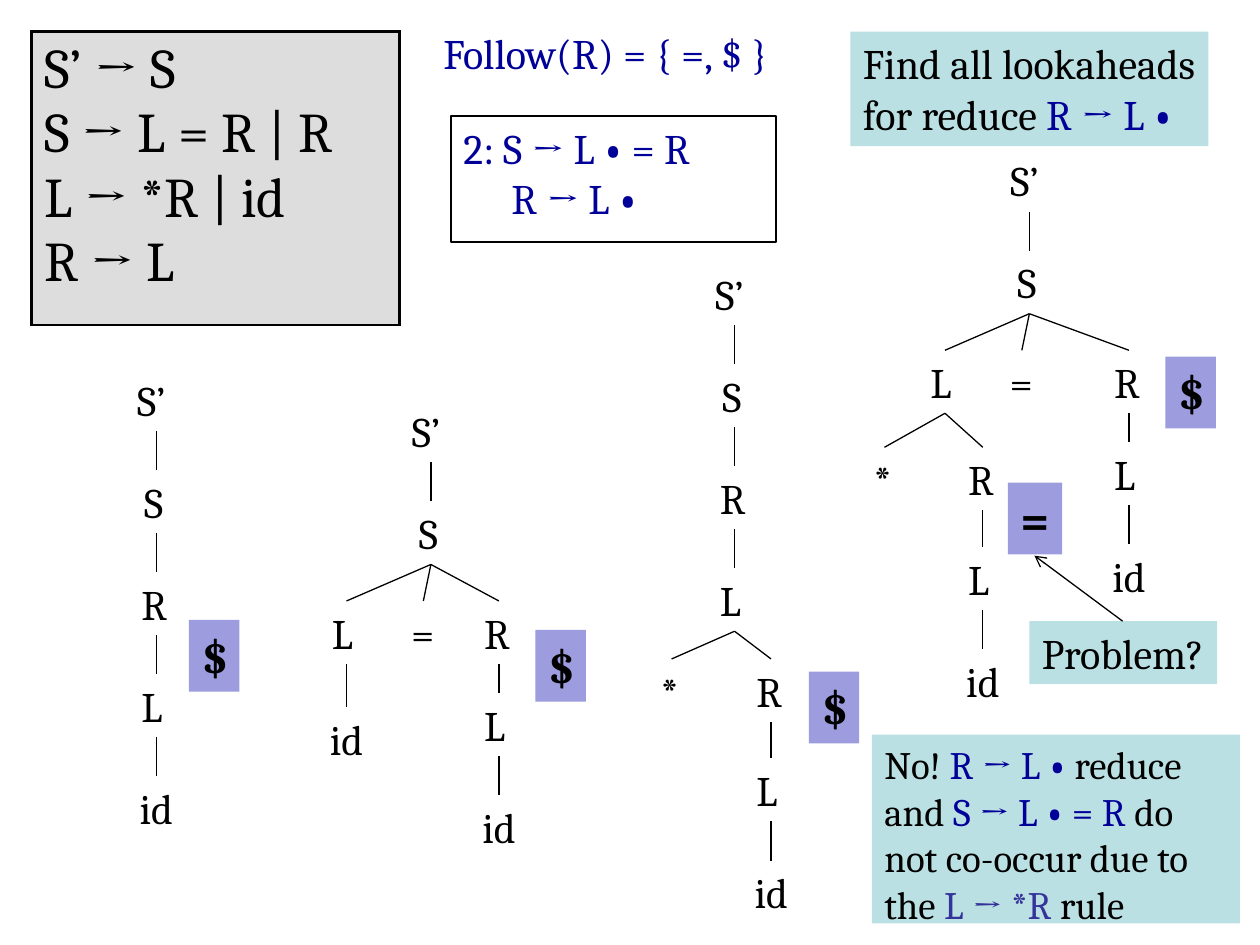
from lxml import etree
from pptx import Presentation, util as u
from pptx.dml.color import RGBColor
from pptx.enum import shapes, text
from pptx.oxml.ns import qn

BLACK, BLUE, TEAL, LILAC = "000000", "000099", "BBE0E3", "9C9CDF"
DOT = ("•", BLUE, True)
WIDTHS = {"S’": 0.5, "S": 0.39, "=": 0.39, "*": 0.37, "id": 0.46}


def paint(hue):
    """Turn a hex string into a colour."""
    return RGBColor.from_string(hue)


def write(frame, paras, size=24, color=BLACK, bold=False, wrap=False, hang=0):
    """Fill a text frame with paragraphs of runs, each run text or (text, colour, bold)."""
    frame.word_wrap = wrap
    frame.auto_size = text.MSO_AUTO_SIZE.NONE
    frame.vertical_anchor = text.MSO_ANCHOR.TOP
    for i, runs in enumerate(paras):
        para = frame.add_paragraph() if i else frame.paragraphs[0]
        para.alignment = text.PP_ALIGN.LEFT
        if hang:
            props = para._p.get_or_add_pPr()
            props.set("marL", str(u.Inches(hang)))
            props.set("indent", str(-u.Inches(hang)))
        for item in runs:
            words, hue, heavy = (item, color, bold) if isinstance(item, str) else item
            for j, part in enumerate(words.split("\n")):
                if j:
                    para.add_line_break()
                if not part:
                    continue
                run = para.add_run()
                run.text = part
                run.font.name, run.font.size = "Cambria", u.Pt(size)
                run.font.bold, run.font.color.rgb = heavy, paint(hue)


def label(slide, box, paras, **style):
    """Place plain text in a box."""
    frame = slide.shapes.add_textbox(*map(u.Inches, box)).text_frame
    write(frame, paras, **style)


def panel(slide, box, paras, fill=None, line=None, **style):
    """Place a rectangle with text in a box."""
    shape = slide.shapes.add_shape(shapes.MSO_SHAPE.RECTANGLE, *map(u.Inches, box))
    shape.shadow.inherit = False
    if fill:
        shape.fill.solid()
        shape.fill.fore_color.rgb = paint(fill)
    else:
        shape.fill.background()
    if line:
        shape.line.color.rgb = paint(line)
        shape.line.width = u.Pt(1.25)
    else:
        shape.line.fill.background()
    write(shape.text_frame, paras, **style)


def link(slide, start, end, arrow=False):
    """Draw a thin line between two points."""
    line = slide.shapes.add_connector(
        shapes.MSO_CONNECTOR.STRAIGHT, *map(u.Inches, (*start, *end)))
    line.line.color.rgb = paint(BLACK)
    line.line.width = u.Pt(0.75)
    if arrow:
        etree.SubElement(line.line._get_or_add_ln(), qn("a:tailEnd"), type="arrow")
    etree.SubElement(line._element.spPr, qn("a:effectLst"))


def grammar(slide, box, rules):
    """Place the grammar rules in a bordered one-cell table."""
    table = slide.shapes.add_table(1, 1, *map(u.Inches, box)).table
    table.first_row = table.horz_banding = False
    cell = table.cell(0, 0)
    write(cell.text_frame, [["\n".join(rules)]], size=32, wrap=True)
    cell.vertical_anchor = text.MSO_ANCHOR.TOP
    props = cell._tc.get_or_add_tcPr()
    for side in ("lnL", "lnR", "lnT", "lnB"):
        edge = etree.SubElement(props, qn("a:" + side), w=str(u.Pt(1.5)))
        solid = etree.SubElement(edge, qn("a:solidFill"))
        etree.SubElement(solid, qn("a:srgbClr"), val=BLACK)
    cell.fill.solid()
    cell.fill.fore_color.rgb = paint("DDDDDD")


def tree(slide, mid, top, node):
    """Draw a parse tree: a node is its name, then (shift, drop, child) entries."""
    name, *kids = node
    wide = WIDTHS.get(name, 0.43)
    label(slide, (mid - wide / 2, top, wide, 0.5), [[name]], wrap=name == "S’")
    for shift, drop, kid in kids:
        x, y = mid + shift, top + drop
        link(slide, (mid, top + 0.5), (x, y))
        tree(slide, x, y, kid)


def chain(*names, drop=0.81):
    """Build a node with a single line of descendants."""
    first, *rest = names
    return (first, (0, drop, chain(*rest))) if rest else (first,)


def root(body):
    """Put the start symbol above a tree."""
    return ("S’", (0, 0.81, body))


def assign(left, gap):
    """Build the S → L = R node with the given left child."""
    right = ("R", (0, 0.73, chain("L", "id")))
    return ("S", (-0.67, 0.79, left), (-0.06, 0.79, ("=",)), (gap, 0.79, right))


def deref(left, right, drop):
    """Build the L → *R node."""
    return ("L", (left, drop, ("*",)),
            (right, drop, chain("R", "L", "id", drop=0.79)))


def problem(slide, left, top):
    """Place the question box and its arrow."""
    panel(slide, (left, top, 1.49, 0.5), [["Problem?"]], fill=TEAL)
    link(slide, (left + 0.74, top), (left + 0.04, top - 0.52), arrow=True)


def main():
    """Build the slide."""
    deck = Presentation()
    deck.slide_width, deck.slide_height = u.Inches(10), u.Inches(7.5)
    slide = deck.slides.add_slide(deck.slide_layouts[6])

    grammar(slide, (0.25, 0.25, 2.92, 2.33),
            ["S’ → S", "S → L = R | R", "L → *R | id", "R → L"])
    label(slide, (3.42, 0.17, 2.98, 0.5), [["Follow(R) = { =, $ }"]],
          color=BLUE, hang=0.38)
    panel(slide, (3.58, 0.92, 2.58, 1), [["2: S → L ", DOT, " = R\nR → L ", DOT]],
          line=BLACK, color=BLUE, wrap=True, hang=0.38)

    trees = [
        (1.24, 2.92, chain("S’", "S", "R", "L", "id")),
        (3.42, 3.17, root(assign(chain("L", "id", drop=0.84), 0.54))),
        (8.17, 1.18, root(assign(deref(-0.48, 0.3, 0.77), 0.79))),
        (5.83, 2.08, root(("S", (0, 0.81, ("R", (0, 0.81, deref(-0.5, 0.29, 0.72))))))),
    ]
    for mid, top, node in trees:
        tree(slide, mid, top, node)

    panel(slide, (6.75, 0.25, 2.84, 0.91),
          [["Find all lookaheads"], ["for reduce ", ("R → L ", BLUE, False), DOT]],
          fill=TEAL)
    marks = [("$", 1.5, 4.92, 0.4), ("=", 8, 3.83, 0.43), ("$", 4.25, 5, 0.4),
             ("$", 9.25, 2.83, 0.4), ("$", 6.42, 5.33, 0.4)]
    for sign, left, top, wide in marks:
        panel(slide, (left, top, wide, 0.57), [[sign]], fill=LILAC, size=28, bold=True)
    panel(slide, (6.92, 5.83, 2.92, 1.5),
          [["No! ", ("R → L ", BLUE, False), DOT, " reduce and ",
            ("S → L ", BLUE, False), DOT, (" = R ", BLUE, False),
            "do not co-occur due to the ", ("L → *R", "333399", False), " rule"]],
          fill=TEAL, size=22.2, wrap=True)
    problem(slide, 8.17, 4.93)
    deck.save("out.pptx")


if __name__ == "__main__":
    main()
